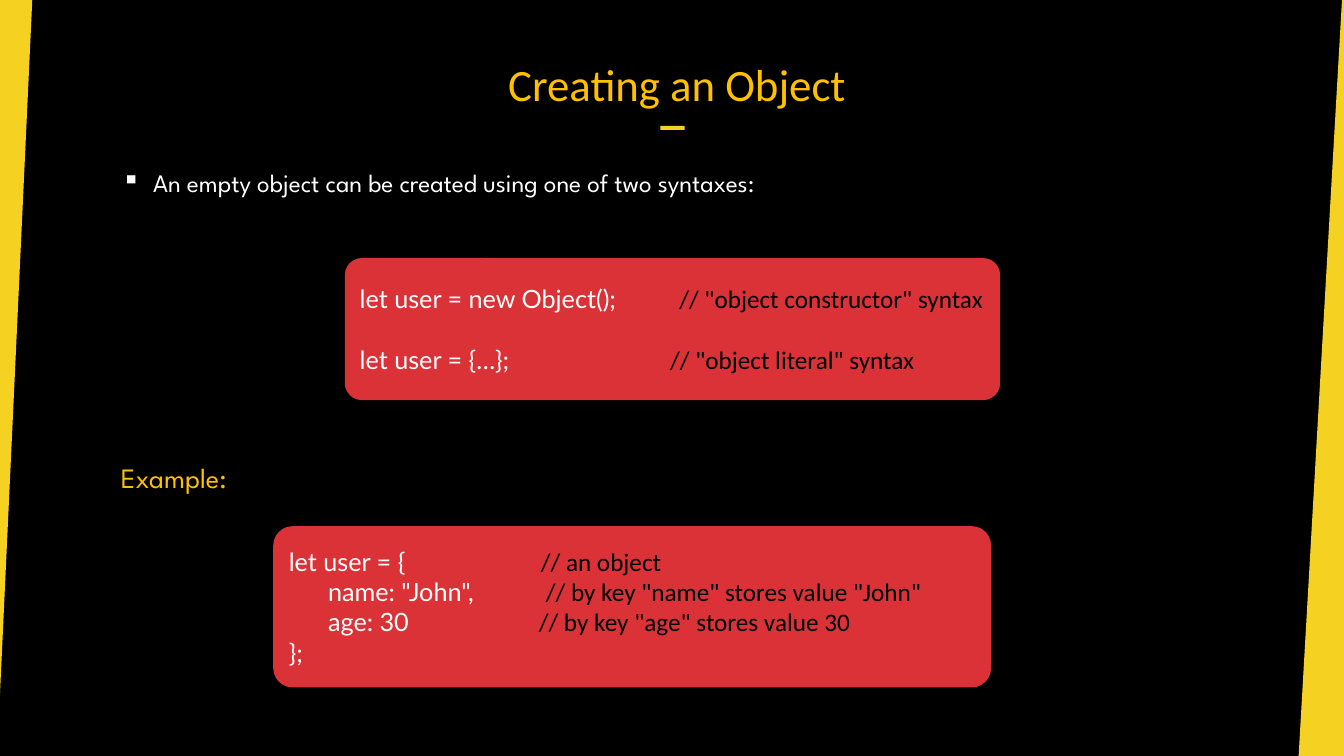
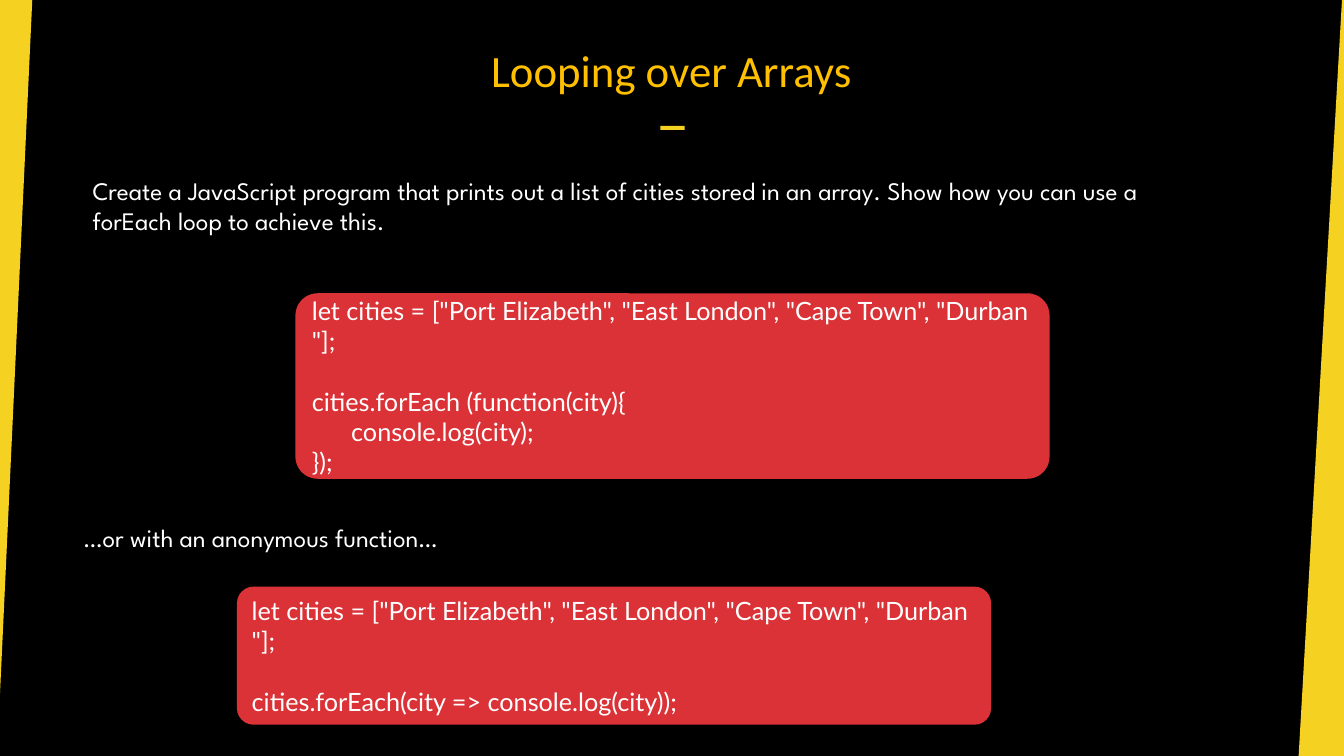
from lxml import etree
from pptx import Presentation
from pptx.dml.color import RGBColor
from pptx.enum.shapes import MSO_SHAPE
from pptx.enum.text import MSO_ANCHOR, PP_ALIGN
from pptx.oxml.ns import qn
from pptx.util import Inches, Pt

RECTANGLE = MSO_SHAPE.RECTANGLE
ROUNDED = MSO_SHAPE.ROUNDED_RECTANGLE
TOP, MIDDLE, BOTTOM = MSO_ANCHOR.TOP, MSO_ANCHOR.MIDDLE, MSO_ANCHOR.BOTTOM
LEFT, CENTER = PP_ALIGN.LEFT, PP_ALIGN.CENTER

COLORS = {
    "background": "000000",
    "band": "F5D121",
    "heading": "FFC000",
    "body": "FFFFFF",
    "code_box": "DA3236",
    "comment": "000000",
}
TITLE_FONT = COMMENT_FONT = "Calibri"
BODY_FONT = "League Spartan"
CODE_FONT = "Lato"
CODE_SIZE = 18
CODE_INDENT = 0.39
CODE_GAP = 22
BULLET_INDENT = 0.31

LEFT_BAND = [(0, 0), (0.32, 0), (0, 6.88)]
RIGHT_BAND = [(13.31, 0), (13.33, 0), (13.33, 7.5), (12.88, 7.5)]


def color(name):
    return RGBColor.from_string(COLORS[name])


def paint(shape, fill):
    shape.shadow.inherit = False
    shape.fill.solid()
    shape.fill.fore_color.rgb = color(fill)
    shape.line.fill.background()


def add_run(paragraph, text, font, size, fill):
    run = paragraph.add_run()
    run.text = text
    run.font.name = font
    run.font.size = Pt(size)
    run.font.color.rgb = color(fill)


def add_band(slide, points):
    corners = [(Inches(x), Inches(y)) for x, y in points]
    builder = slide.shapes.build_freeform(*corners[0], scale=1.0)
    builder.add_line_segments(corners[1:], close=True)
    paint(builder.convert_to_shape(), "band")


def add_text(slide, box, text, font=BODY_FONT, size=18, fill="body",
             align=LEFT, anchor=TOP, wrap=True):
    shape = slide.shapes.add_textbox(*map(Inches, box))
    frame = shape.text_frame
    frame.word_wrap = wrap
    frame.vertical_anchor = anchor
    paragraph = frame.paragraphs[0]
    paragraph.alignment = align
    add_run(paragraph, text, font, size, fill)
    return shape


def add_title(slide, box, text):
    frame = add_text(slide, box, text, TITLE_FONT, 32, "heading", CENTER, BOTTOM).text_frame
    frame.margin_top = Inches(0.04)
    frame.margin_bottom = 0


def add_bullet(paragraph, character):
    properties = paragraph._p.get_or_add_pPr()
    properties.set("marL", str(Inches(BULLET_INDENT)))
    properties.set("indent", str(-Inches(BULLET_INDENT)))
    etree.SubElement(properties, qn("a:buChar")).set("char", character)


def set_tab_stops(paragraph, positions):
    tab_list = etree.SubElement(paragraph._p.get_or_add_pPr(), qn("a:tabLst"))
    for position in positions:
        tab = etree.SubElement(tab_list, qn("a:tab"))
        tab.set("pos", str(Inches(position)))
        tab.set("algn", "l")


def code_line(*pieces, comment="", comment_at=None, indented=False, gap=False):
    return {"pieces": pieces, "comment": comment, "comment_at": comment_at,
            "indented": indented, "gap": gap}


def write_code_line(paragraph, line):
    paragraph.alignment = LEFT
    paragraph.space_before = Pt(CODE_GAP if line["gap"] else 0)
    stops = [CODE_INDENT] if line["indented"] else []
    if line["comment"]:
        stops.append(line["comment_at"])
    if stops:
        set_tab_stops(paragraph, stops)
    if line["indented"]:
        add_run(paragraph, "\t", CODE_FONT, CODE_SIZE, "body")
    for index, piece in enumerate(line["pieces"]):
        if index:
            paragraph.add_line_break()
        add_run(paragraph, piece, CODE_FONT, CODE_SIZE, "body")
    if line["comment"]:
        add_run(paragraph, "\t" + line["comment"], COMMENT_FONT, CODE_SIZE, "comment")


def add_code_box(slide, box, lines):
    shape = slide.shapes.add_shape(ROUNDED, *map(Inches, box))
    shape.adjustments[0] = 0.12
    paint(shape, "code_box")
    frame = shape.text_frame
    frame.word_wrap = True
    frame.vertical_anchor = MIDDLE
    for index, line in enumerate(lines):
        paragraph = frame.add_paragraph() if index else frame.paragraphs[0]
        write_code_line(paragraph, line)


def add_base_slide(presentation, title_box, title):
    slide = presentation.slides.add_slide(presentation.slide_layouts[6])
    slide.background.fill.solid()
    slide.background.fill.fore_color.rgb = color("background")
    add_band(slide, LEFT_BAND)
    add_band(slide, RIGHT_BAND)
    accent = slide.shapes.add_shape(RECTANGLE, *map(Inches, (6.55, 1.25, 0.24, 0.04)))
    paint(accent, "band")
    add_title(slide, title_box, title)
    return slide


def build_object_slide(presentation):
    slide = add_base_slide(presentation, (3.92, 0.35, 5.59, 0.75), "Creating an Object")
    intro = add_text(slide, (1.11, 1.61, 11.35, 0.4),
                     "An empty object can be created using one of two syntaxes:")
    add_bullet(intro.text_frame.paragraphs[0], "▪")
    add_code_box(slide, (3.42, 2.56, 6.5, 1.41), [
        code_line("let user = new Object();",
                  comment='// "object constructor" syntax', comment_at=3.17),
        code_line("let user = {…};",
                  comment='// "object literal" syntax', comment_at=3.08, gap=True),
    ])
    add_text(slide, (1.1, 4.52, 1.45, 0.44), "Example:", size=20, fill="heading", wrap=False)
    add_code_box(slide, (2.71, 5.22, 7.12, 1.6), [
        code_line("let user = {", comment="// an object", comment_at=2.5),
        code_line('name: "John",', indented=True,
                  comment='// by key "name" stores value "John"', comment_at=2.55),
        code_line("age: 30", indented=True,
                  comment='// by key "age" stores value 30', comment_at=2.48),
        code_line("};"),
    ])


def build_array_slide(presentation):
    slide = add_base_slide(presentation, (2.1, 0.21, 9.12, 0.75), "Looping over Arrays")
    cities = code_line(
        'let cities = ["Port Elizabeth", "East London", "Cape Town", "Durban', '"];')
    add_text(slide, (0.82, 1.69, 11.01, 0.71),
             "Create a JavaScript program that prints out a list of cities stored in an array. "
             "Show how you can use a forEach loop to achieve this.")
    add_code_box(slide, (2.93, 2.91, 7.48, 1.84), [
        cities,
        code_line("cities.forEach (function(city){", gap=True),
        code_line("console.log(city);", indented=True),
        code_line("});"),
    ])
    add_text(slide, (0.73, 5.13, 11.63, 0.4), "…or with an anonymous function…")
    add_code_box(slide, (2.35, 5.82, 7.48, 1.37), [
        cities,
        code_line("cities.forEach(city => console.log(city));", gap=True),
    ])


def main():
    presentation = Presentation()
    presentation.slide_width = Inches(13.33)
    presentation.slide_height = Inches(7.5)
    build_object_slide(presentation)
    build_array_slide(presentation)
    presentation.save("out.pptx")


if __name__ == "__main__":
    main()
